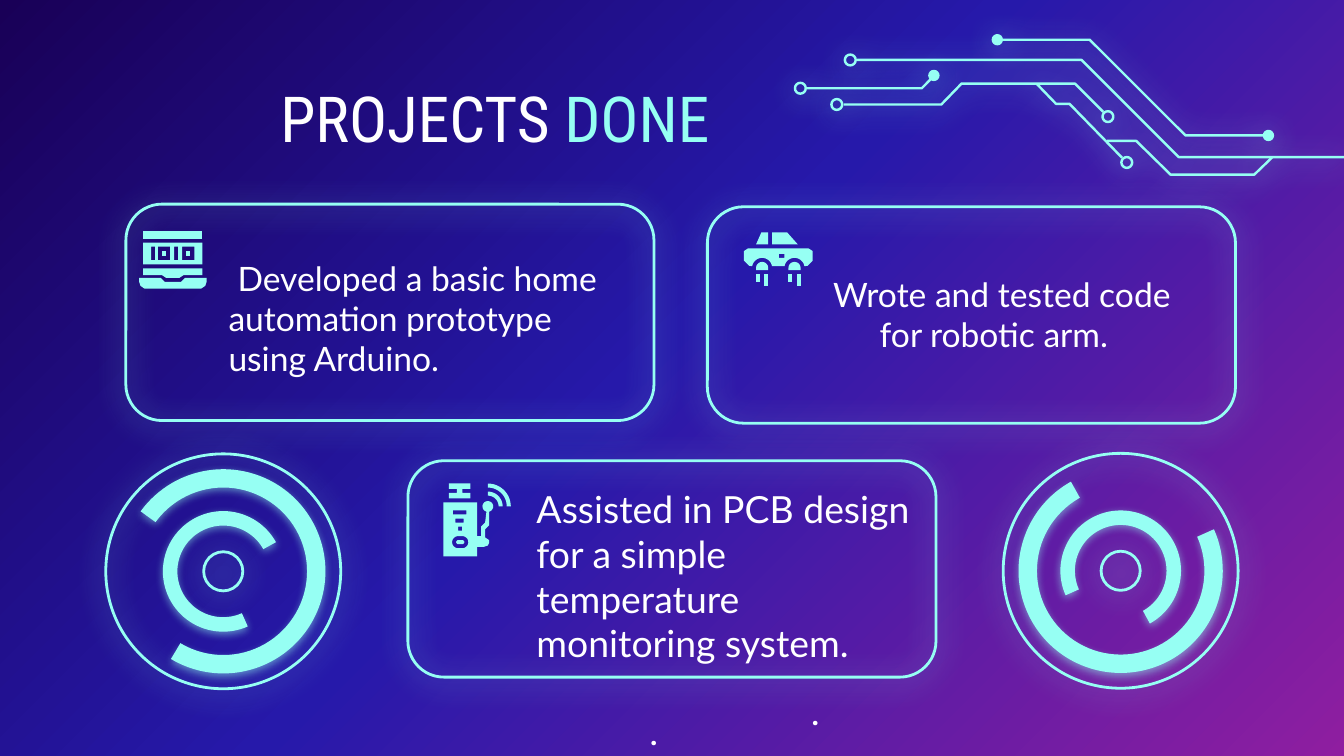
import copy
import math

import pptx
import pptx.dml.color
import pptx.enum.shapes
import pptx.enum.text
import pptx.oxml
import pptx.oxml.ns
import pptx.util

Cm, Pt = pptx.util.Cm, pptx.util.Pt
Kind = pptx.enum.shapes.MSO_SHAPE
Align = pptx.enum.text.PP_ALIGN
qn = pptx.oxml.ns.qn

HUES = {"night": "190057", "blue": "2619AA", "plum": "8F1EA0",
        "mint": "96FFF3", "white": "FFFFFF"}
CELL = 1.3 / 51  # cm per grid cell of the icons and the circuit


def hue(name):
    return pptx.dml.color.RGBColor.from_string(HUES[name])


def glow(shape, blur, alpha):
    shape.shadow.inherit = False
    if blur:
        shape.element.spPr.find(qn("a:effectLst")).append(pptx.oxml.parse_xml(
            f'<a:outerShdw {pptx.oxml.ns.nsdecls("a")} blurRad="{Pt(blur)}" '
            f'dist="{Pt(1.5)}" dir="5400000" algn="bl" rotWithShape="0">'
            f'<a:srgbClr val="{HUES["mint"]}"><a:alpha val="{alpha * 1000}"/>'
            '</a:srgbClr></a:outerShdw>'))


def solid(shape, blur=0, alpha=50):
    shape.fill.solid()
    shape.fill.fore_color.rgb = hue("mint")
    shape.line.fill.background()
    glow(shape, blur, alpha)


def outline(shape, width=1.5):
    shape.fill.background()
    shape.line.color.rgb = hue("mint")
    shape.line.width = Pt(width)
    glow(shape, 15.8, 67)


def disc(shapes, x, y, r, kind=Kind.OVAL):
    """Add a round shape centred on x, y."""
    return shapes.add_shape(kind, Cm(x - r), Cm(y - r), Cm(2 * r), Cm(2 * r))


def trace(shapes, x, y, rings, close=True):
    """Draw contours given in grid cells from x, y as one outline."""
    rings = [[(Cm(x + a * CELL), Cm(y + b * CELL)) for a, b in ring]
             for ring in rings]
    pen = shapes.build_freeform(*rings[0][0])
    for i, ring in enumerate(rings):
        if i:
            pen.move_to(*ring[0])
        pen.add_line_segments(ring[1:], close=close)
    return pen.convert_to_shape()


def rect(l, t, r, b):
    return [(l, t), (r, t), (r, b), (l, b)]


def arc(x, y, r, start, end, steps=16):
    turns = [math.radians(start + (end - start) * i / steps)
             for i in range(steps + 1)]
    return [(x + r * math.cos(t), y + r * math.sin(t)) for t in turns]


def pill(l, r, y, size):
    return arc(l, y, size, 90, 270) + arc(r, y, size, 270, 450)


def wave(r):
    return arc(33, 17, r, -90, 0) + arc(33, 17, r - 3, 0, -90)


def pad(x, y):
    return [arc(x, y, 4, 0, 360)]


def dot(x, y):
    """Rings close enough for their strokes to merge."""
    return [arc(x, y, r, 0, 360) for r in (3.3, 2, 0.8)]


# Each icon is a list of pieces, each piece a list of contours.
LAPTOP = [
    [rect(17, 15, 20, 19)], [rect(3, 0, 47, 6)], [rect(35, 15, 38, 19)],
    [rect(*r) for r in ((3, 9, 47, 25), (9, 12, 12, 22), (14, 12, 23, 22),
                        (26, 12, 29, 22), (32, 12, 41, 22))],
    [[(3, 28), (3, 33), (17, 33), (20, 35), (30, 35), (33, 33), (47, 33), (47, 28)]],
    [[(0, 35), (0, 38), (1, 41), (4, 43), (46, 43), (49, 41), (50, 38), (50, 35),
      (34, 35), (31, 38), (19, 38), (16, 35)]]]

CAR = [
    [[(13, 0), (9, 9), (18, 9), (18, 0)]],
    [[(21, 0), (21, 9), (40, 9), (32, 0)]],
    [[(3, 12), (0, 14), (0, 21), (4, 25), *arc(13.5, 26.5, 7.5, 191, 349),
      *arc(37.5, 26.5, 7.5, 191, 349), (47, 25), (51, 21), (51, 14), (48, 12)],
     rect(26, 16, 30, 19)]]
for left in (9, 33):
    CAR += [[rect(left, 31, left + 3, 37)], [rect(left + 6, 31, left + 9, 40)],
            [[(left, 28), *arc(left + 4.5, 26.5, 4.5, 180, 360), (left + 9, 28)]]]

SENSOR = [
    [wave(11)], [wave(17)],
    [[(4, 0), (4, 4), (10, 4), (10, 7), (4, 7), (4, 11), (20, 11), (20, 7),
      (14, 7), (14, 4), (20, 4), (20, 0)]],
    [pill(11, 14, 43.5, 1.5)],
    [[(0, 14), (0, 54), (25, 54), (25, 47), (30, 47), (33, 46), (34, 44), (34, 42),
      (31, 40), (31, 34), (34, 31), *arc(33, 17, 4, 75, -255), (31, 29), (28, 32),
      (28, 39), (25, 39), (25, 14)],
     rect(7, 20, 17, 23), rect(9, 26, 15, 29), rect(11, 32, 14, 35),
     pill(11, 14, 43.5, 4.5)]]

CIRCUIT = [
    [[(10, 40), (95, 40), (102, 33)], *pad(5, 40), *dot(104, 30.5)],
    [[(151, 4), (219.5, 4), (290.5, 75), (352, 75)], *dot(151, 4), *dot(352, 75)],
    [[(47, 19), (213.5, 19), (285.5, 91), (409, 91)],
     [(37, 52), (109.5, 52), (124.5, 36.5), (208.5, 36.5), (229.5, 57.5)],
     [(180.5, 37), (194.5, 51.5), (204.5, 51.5), (243.5, 91.5)],
     [(232, 79), (254, 79), (279.5, 104), (341.5, 104), (355, 91)],
     *pad(42, 19), *pad(32, 52), *pad(233, 61), *pad(247, 95)]]


def write(shapes, box, runs, size, font="Lato", align=Align.LEFT, inset=0.25, first=0):
    """Add one paragraph; runs are (text, colour) pairs, first is its indent."""
    frame = shapes.add_textbox(*map(Cm, box)).text_frame
    frame.word_wrap = True
    frame.vertical_anchor = pptx.enum.text.MSO_ANCHOR.MIDDLE
    frame.margin_left = frame.margin_right = Cm(inset)
    frame.margin_top = frame.margin_bottom = Cm(inset)
    para = frame.paragraphs[0]
    para.alignment = align
    if first:
        para._p.get_or_add_pPr().set("indent", str(Cm(first)))
    para.font.size, para.font.name = Pt(size), font
    for words, tone in runs:
        run = para.add_run()
        run.text = words
        run.font.color.rgb = hue(tone)


def card(shapes, x, y, icon, spot, area, words, size, **style):
    """Frame with an icon at spot and text in area (left, top, width)."""
    wide, high = 9.98, 4.09
    outline(shapes.add_shape(Kind.ROUNDED_RECTANGLE, *map(Cm, (x, y, wide, high))))
    part = shapes.add_group_shape().shapes
    for piece in icon:
        solid(trace(part, x + spot[0], y + spot[1], piece))
    left, top, span = area
    write(shapes, (x + left, y + top, span, high), [(words, "white")], size, **style)


def dial(shapes, x, y, outer, inner):
    """Two block arcs, turned by outer and inner degrees, between two circles."""
    part = shapes.add_group_shape().shapes
    mid = 2.22
    for r in (mid, 0.37):
        outline(disc(part, x + mid, y + mid, r))
    for r, turn, end, thick in ((1.93, outer, 18.5, 0.09), (1.14, inner, 18.62, 0.12)):
        band = disc(part, x + mid, y + mid, r, Kind.BLOCK_ARC)
        for i, value in enumerate((75.58, end, thick)):
            band.adjustments[i] = value
        band.rotation = turn
        solid(band, 4.5)


def circuit(shapes, x, y):
    part = shapes.add_group_shape().shapes
    for wires in CIRCUIT:
        outline(trace(part, x, y, wires, close=False), 1.3)


def backdrop(slide):
    fill = slide.background.fill
    fill.gradient()
    fill.gradient_angle = 315
    stops = slide.element.find(".//" + qn("a:gsLst"))
    stops.append(copy.deepcopy(stops[0]))
    for stop, place, tone in zip(fill.gradient_stops, (0, 0.48, 1),
                                 ("night", "blue", "plum")):
        stop.position = place
        stop.color.rgb = hue(tone)


def main():
    deck = pptx.Presentation()
    deck.slide_width, deck.slide_height = Cm(25.4), Cm(14.29)
    slide = deck.slides.add_slide(deck.slide_layouts[6])
    shapes = slide.shapes
    backdrop(slide)
    circuit(shapes, 15, 0.65)
    write(shapes, (5.3, 1.41, 12, 1.6), [("PROJECTS", "white"), (" DONE", "mint")],
          34, "Roboto Condensed", inset=0)
    card(shapes, 2.38, 3.86, LAPTOP, (0.25, 0.5), (1.69, 0.11, 8.13),
         "Developed a basic home automation prototype using Arduino.", 18, first=0.17)
    card(shapes, 13.37, 3.91, CAR, (0.69, 0.48), (1.73, -0.02, 7.37),
         "Wrote and tested code for robotic arm.", 18, align=Align.CENTER, first=0.3)
    card(shapes, 7.71, 8.71, SENSOR, (0.67, 0.43), (2.18, 0.13, 7.65),
         "Assisted in PCB design for a simple temperature monitoring system.", 20)
    dial(shapes, 2, 8.58, 90, 300)
    dial(shapes, 18.96, 8.57, 210, 30)
    for x, y in ((15.06, 12.85), (12.01, 13.23)):
        write(shapes, (x, y, 6.5, 1.09), [(".", "white")], 22, "Roboto Condensed")
    deck.save("out.pptx")


if __name__ == "__main__":
    main()
